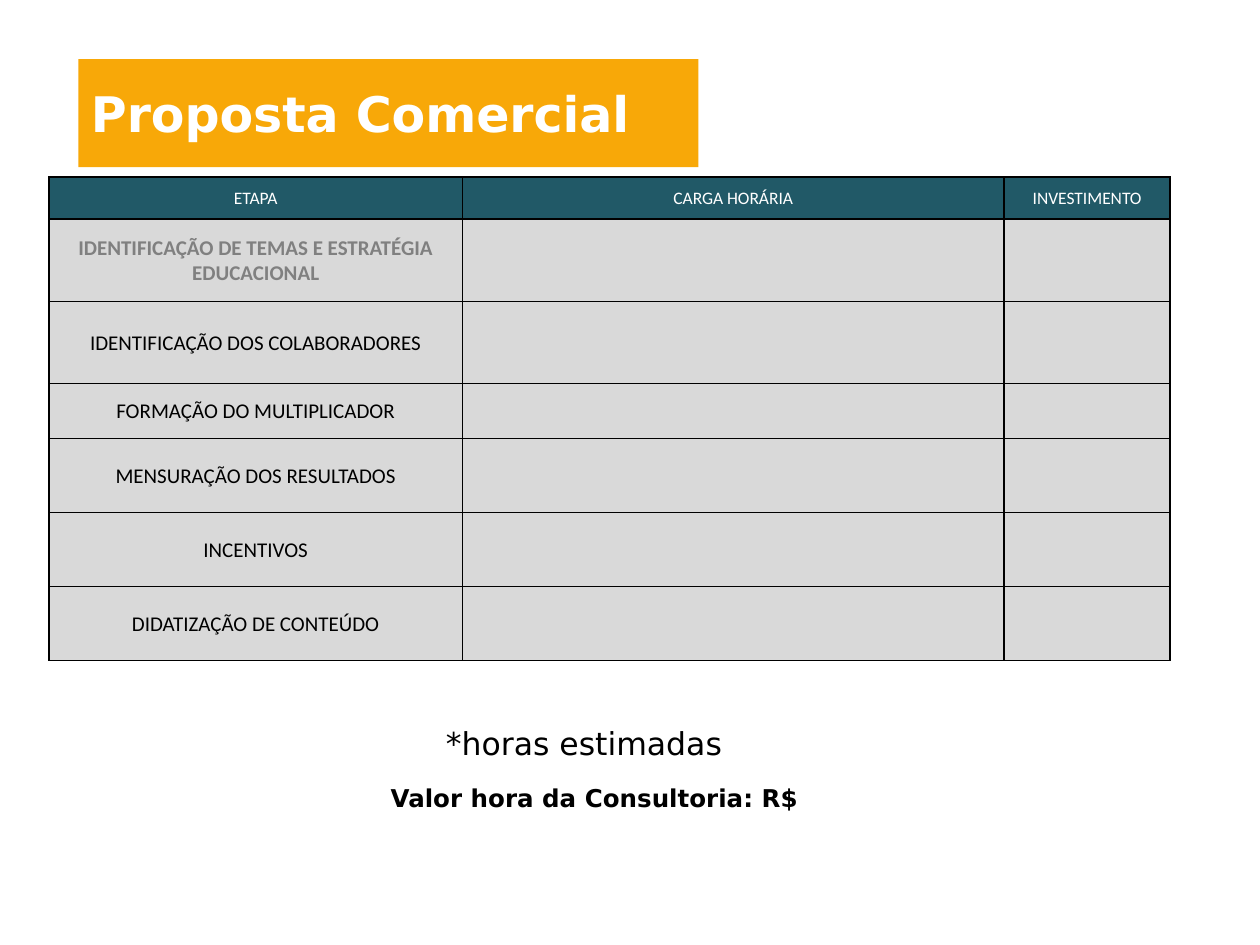
from dataclasses import dataclass

from lxml import etree
from pptx import Presentation
from pptx.dml.color import RGBColor
from pptx.enum import text as t
from pptx.oxml import ns
from pptx.util import Cm, Pt


@dataclass(frozen=True)
class Theme:
    """Colours, fonts and type sizes of the slide."""
    gold: str = "F8A808"
    teal: str = "215967"
    pale: str = "D9D9D9"
    gray: str = "808080"
    white: str = "FFFFFF"
    black: str = "000000"
    sans: str = "DejaVu Sans"
    body: str = "Calibri"
    title: int = 28
    note: int = 18
    price: int = 14
    cell: int = 12
    head: int = 10


LOOK = Theme()
HEADS = ("ETAPA", "CARGA HORÁRIA", "INVESTIMENTO")
STEPS = (
    "IDENTIFICAÇÃO DE TEMAS E ESTRATÉGIA EDUCACIONAL",
    "IDENTIFICAÇÃO DOS COLABORADORES",
    "FORMAÇÃO DO MULTIPLICADOR",
    "MENSURAÇÃO DOS RESULTADOS",
    "INCENTIVOS",
    "DIDATIZAÇÃO DE CONTEÚDO",
)
COLS = (8.33, 10.92, 3.35)
ROWS = (0.84, 1.67, 1.65, 1.11, 1.49, 1.49, 1.49)


def write(frame, words, size, color=LOOK.black, font=LOOK.sans, bold=False,
          align=t.PP_ALIGN.LEFT):
    """Put one formatted paragraph in a text frame."""
    para = frame.paragraphs[0]
    para.alignment = align
    run = para.add_run()
    run.text = words
    run.font.size = Pt(size)
    run.font.name = font
    run.font.bold = bold
    run.font.color.rgb = RGBColor.from_string(color)


def paint(part, color):
    """Give a shape or cell a solid fill."""
    part.fill.solid()
    part.fill.fore_color.rgb = RGBColor.from_string(color)


def banner(slide, left, top, width, height):
    """Turn the title placeholder into a rounded banner."""
    title = slide.shapes.title
    title.left, title.top = Cm(left), Cm(top)
    title.width, title.height = Cm(width), Cm(height)
    geom = etree.Element(ns.qn("a:prstGeom"), prst="roundRect")
    etree.SubElement(geom, ns.qn("a:avLst"))
    title.element.spPr.insert(1, geom)
    paint(title, LOOK.gold)
    frame = title.text_frame
    frame.auto_size = t.MSO_AUTO_SIZE.NONE
    frame.vertical_anchor = t.MSO_ANCHOR.MIDDLE
    write(frame, "Proposta Comercial", LOOK.title, LOOK.white, bold=True)


def edge(cell):
    """Draw a thin black line on each side of a cell."""
    props = cell._tc.get_or_add_tcPr()
    for spot, side in enumerate("LRTB"):
        line = etree.Element(ns.qn(f"a:ln{side}"), w=str(Pt(1)))
        fill = etree.SubElement(line, ns.qn("a:solidFill"))
        etree.SubElement(fill, ns.qn("a:srgbClr"), val=LOOK.black)
        props.insert(spot, line)


def label(cell, words, size, color, bold=False):
    """Write centred text in a cell with narrow margins."""
    cell.margin_left = cell.margin_right = cell.margin_top = Cm(0.03)
    cell.margin_bottom = 0
    cell.vertical_anchor = t.MSO_ANCHOR.MIDDLE
    write(cell.text_frame, words, size, color, LOOK.body, bold,
          t.PP_ALIGN.CENTER)


def grid(slide, left, top):
    """Build the table of steps, hours and investment."""
    table = slide.shapes.add_table(
        len(ROWS), len(COLS), Cm(left), Cm(top),
        Cm(sum(COLS)), Cm(sum(ROWS))).table
    table.horz_banding = False
    for col, width in zip(table.columns, COLS):
        col.width = Cm(width)
    for num, (row, height) in enumerate(zip(table.rows, ROWS)):
        row.height = Cm(height)
        for cell in row.cells:
            paint(cell, LOOK.pale if num else LOOK.teal)
            edge(cell)
    for num, words in enumerate(HEADS):
        label(table.cell(0, num), words, LOOK.head, LOOK.white)
    for num, words in enumerate(STEPS, 1):
        first = num == 1
        label(table.cell(num, 0), words, LOOK.cell,
              LOOK.gray if first else LOOK.black, first)


def note(slide, left, top, width, height, words, size, wrap=True, **form):
    """Add a line of text below the table."""
    box = slide.shapes.add_textbox(Cm(left), Cm(top), Cm(width), Cm(height))
    frame = box.text_frame
    frame.word_wrap = wrap
    frame.auto_size = t.MSO_AUTO_SIZE.SHAPE_TO_FIT_TEXT
    write(frame, words, size, **form)


def main():
    """Build and save the slide."""
    deck = Presentation()
    deck.slide_width, deck.slide_height = Cm(25.4), Cm(19.05)
    slide = deck.slides.add_slide(deck.slide_layouts[5])
    banner(slide, 1.58, 1.19, 12.5, 2.18)
    grid(slide, 0.99, 3.57)
    note(slide, 8.74, 14.48, 6.2, 1.02, "*horas estimadas", LOOK.note,
         wrap=False)
    note(slide, 4.17, 15.67, 15.8, 0.86, "Valor hora da Consultoria: R$ ",
         LOOK.price, bold=True, align=t.PP_ALIGN.CENTER)
    deck.save("out.pptx")


if __name__ == "__main__":
    main()
